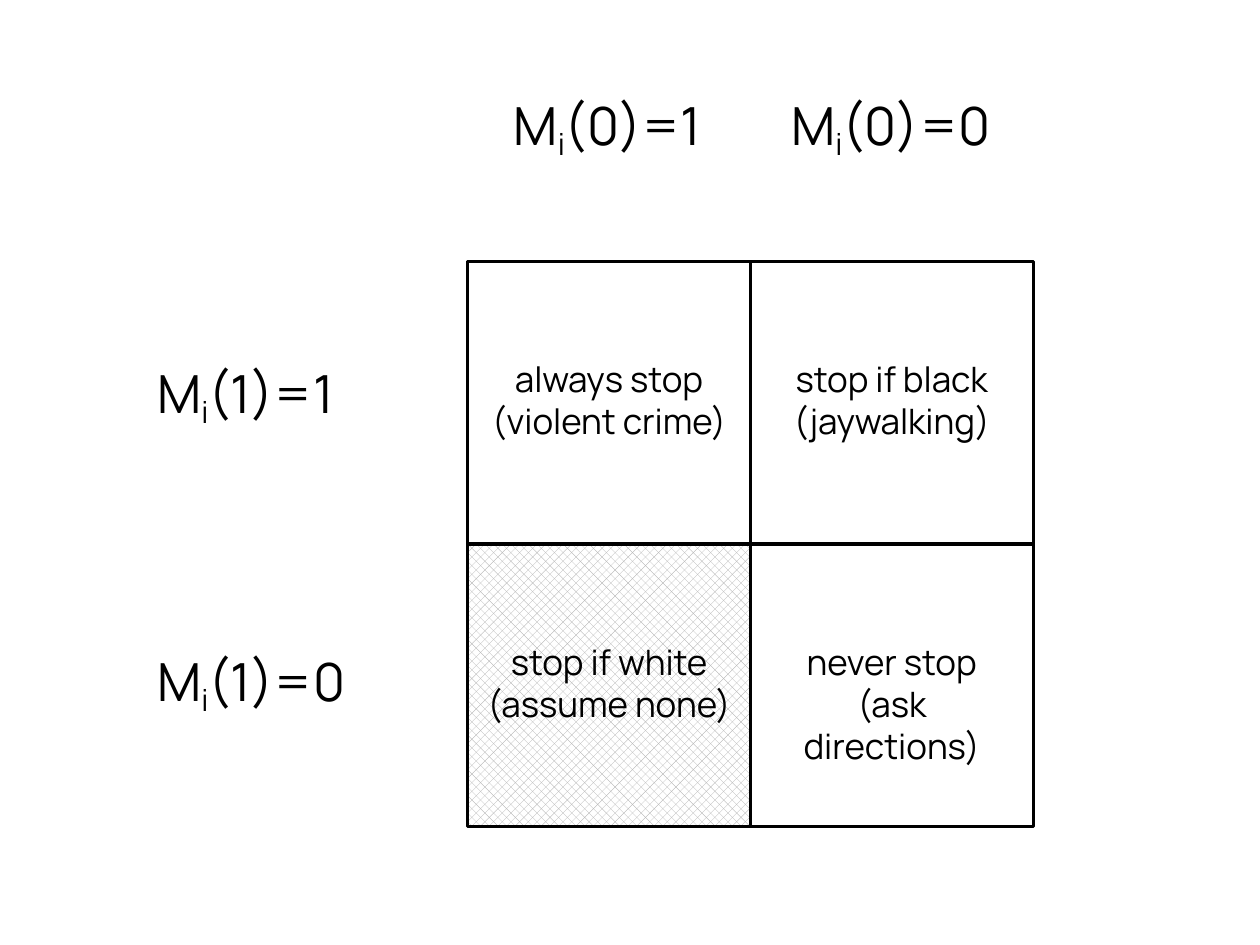
from dataclasses import dataclass

from pptx import Presentation
from pptx.dml.color import RGBColor
from pptx.enum.dml import MSO_PATTERN
from pptx.enum.shapes import MSO_SHAPE
from pptx.enum.text import MSO_ANCHOR, PP_ALIGN
from pptx.shapes.autoshape import Shape
from pptx.slide import Slide
from pptx.text.text import TextFrame
from pptx.util import Emu, Pt

EMU_PER_PX = 4572  # 200 px to the inch


@dataclass(frozen=True)
class Theme:
    font: str = "Manrope"
    ink: RGBColor = RGBColor(0x00, 0x00, 0x00)
    paper: RGBColor = RGBColor(0xFF, 0xFF, 0xFF)
    hatch: RGBColor = RGBColor(0xB2, 0xB2, 0xB2)
    label_size: float = 24
    cell_size: float = 16
    border: float = 1.45


@dataclass(frozen=True)
class Stratum:
    row: int
    column: int
    behaviour: str
    example: str
    excluded: bool = False


@dataclass(frozen=True)
class OutcomeLabel:
    left: int
    top: int
    condition: str
    align: PP_ALIGN


@dataclass(frozen=True)
class Part:
    text: str
    subscript: bool = False


THEME = Theme()
GRID_LEFT, GRID_TOP, CELL = 594, 332, 359
LABEL_HEIGHT = 100
INSET_X, INSET_Y = 20, 10
CELL_TEXT_TOP = 122

STRATA = [
    Stratum(0, 0, "always stop", "(violent crime)"),
    Stratum(0, 1, "stop if black", "(jaywalking)"),
    Stratum(1, 0, "stop if white", "(assume none)", excluded=True),
    Stratum(1, 1, "never stop", "(ask directions)"),
]
LABELS = [
    OutcomeLabel(592, 108, "(0)=1", PP_ALIGN.CENTER),
    OutcomeLabel(952, 108, "(0)=0", PP_ALIGN.CENTER),
    OutcomeLabel(180, 448, "(1)=1", PP_ALIGN.LEFT),
    OutcomeLabel(180, 814, "(1)=0", PP_ALIGN.LEFT),
]


def px(length: int) -> Emu:
    return Emu(length * EMU_PER_PX)


def write(frame: TextFrame, lines: list[list[Part]], *, size: float,
          align: PP_ALIGN, inset_top: int = INSET_Y) -> None:
    """Fill a frame with one paragraph per line, each made of parts."""
    frame.word_wrap = True
    frame.vertical_anchor = MSO_ANCHOR.TOP
    frame.margin_left = frame.margin_right = px(INSET_X)
    frame.margin_top, frame.margin_bottom = px(inset_top), px(INSET_Y)
    for index, parts in enumerate(lines):
        paragraph = frame.add_paragraph() if index else frame.paragraphs[0]
        paragraph.alignment = align
        for part in parts:
            run = paragraph.add_run()
            run.text = part.text
            run.font.name = THEME.font
            run.font.size = Pt(size)
            run.font.color.rgb = THEME.ink
            if part.subscript:
                run._r.get_or_add_rPr().set("baseline", "-20000")


def paint(cell: Shape, excluded: bool) -> None:
    fill = cell.fill
    if excluded:
        fill.patterned()
        fill.pattern = MSO_PATTERN.OUTLINED_DIAMOND
        fill.fore_color.rgb = THEME.hatch
        fill.back_color.rgb = THEME.paper
    else:
        fill.solid()
        fill.fore_color.rgb = THEME.paper
    cell.line.color.rgb = THEME.ink
    cell.line.width = Pt(THEME.border)
    cell.shadow.inherit = False


def draw_stratum(slide: Slide, stratum: Stratum) -> None:
    cell = slide.shapes.add_shape(
        MSO_SHAPE.RECTANGLE,
        px(GRID_LEFT + stratum.column * CELL),
        px(GRID_TOP + stratum.row * CELL),
        px(CELL), px(CELL))
    paint(cell, stratum.excluded)
    write(cell.text_frame, [[Part(stratum.behaviour)], [Part(stratum.example)]],
          size=THEME.cell_size, align=PP_ALIGN.CENTER, inset_top=CELL_TEXT_TOP)


def draw_label(slide: Slide, label: OutcomeLabel) -> None:
    box = slide.shapes.add_textbox(
        px(label.left), px(label.top), px(CELL), px(LABEL_HEIGHT))
    write(box.text_frame,
          [[Part("M"), Part("i", subscript=True), Part(label.condition)]],
          size=THEME.label_size, align=label.align)


def main() -> None:
    deck = Presentation()
    deck.slide_width, deck.slide_height = px(1600), px(1200)
    slide = deck.slides.add_slide(deck.slide_layouts[6])
    for stratum in STRATA:
        draw_stratum(slide, stratum)
    for label in LABELS:
        draw_label(slide, label)
    deck.save("out.pptx")


if __name__ == "__main__":
    main()
